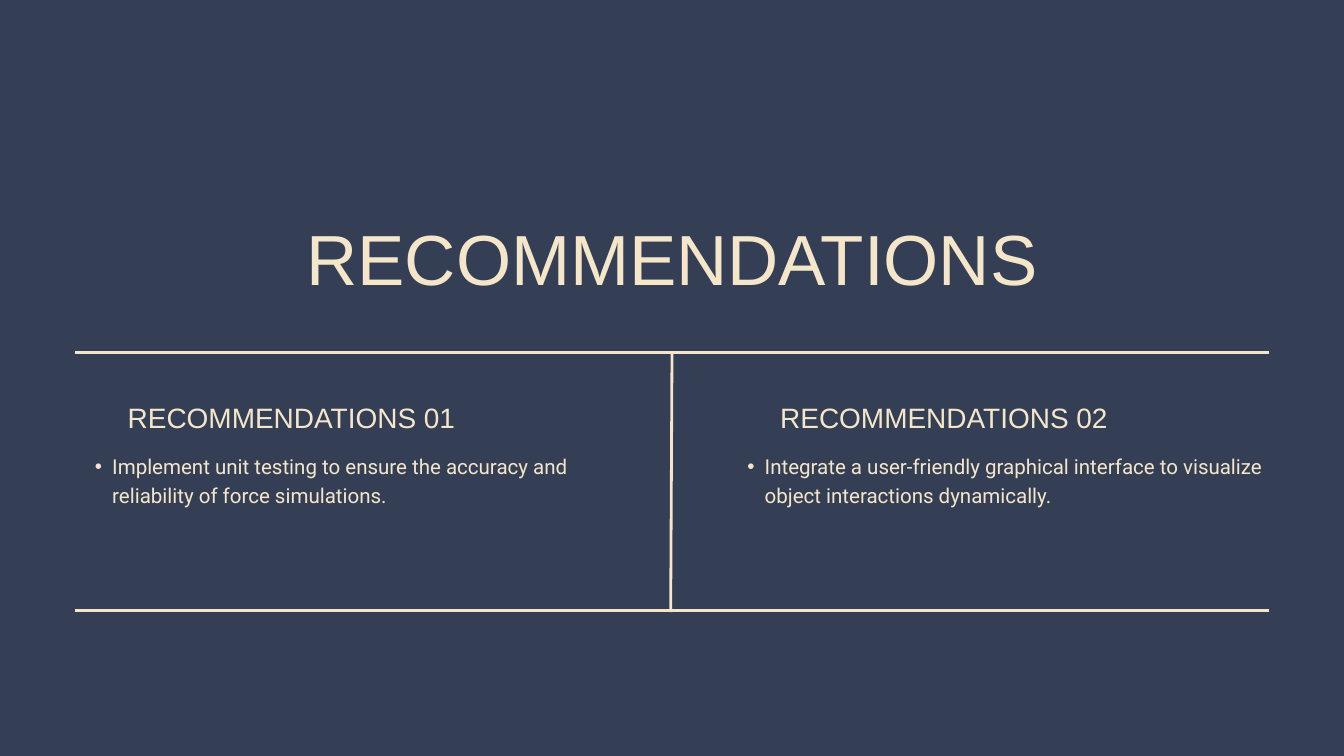
from dataclasses import dataclass

from lxml.etree import SubElement
from pptx import Presentation
from pptx.dml.color import RGBColor
from pptx.enum.shapes import MSO_CONNECTOR
from pptx.enum.text import MSO_ANCHOR, MSO_AUTO_SIZE, PP_ALIGN
from pptx.oxml.ns import qn
from pptx.util import Pt


@dataclass(frozen=True)
class Theme:
    background: RGBColor = RGBColor(0x34, 0x3F, 0x56)
    cream: RGBColor = RGBColor(0xF5, 0xE6, 0xCA)
    display_font: str = "Arial"
    body_font: str = "Roboto"
    title_size: int = 76
    heading_size: int = 30
    body_size: int = 22
    leading: float = 1.4
    rule_width: int = 3
    bullet_indent: float = 18.72


class SlideBuilder:
    def __init__(self, slide, theme):
        self.slide = slide
        self.theme = theme

    def background(self):
        fill = self.slide.background.fill
        fill.solid()
        fill.fore_color.rgb = self.theme.background

    def text(self, index, box, wording, size, font, align=PP_ALIGN.LEFT):
        """Place and fill the placeholder with this index; return its paragraph."""
        holder = self.slide.placeholders[index]
        holder.left, holder.top, holder.width, holder.height = map(Pt, box)
        frame = holder.text_frame
        frame.margin_left = frame.margin_right = 0
        frame.margin_top = frame.margin_bottom = 0
        frame.vertical_anchor = MSO_ANCHOR.TOP
        frame.auto_size = MSO_AUTO_SIZE.NONE
        frame.word_wrap = True
        paragraph = frame.paragraphs[0]
        paragraph.alignment = align
        paragraph.space_before = Pt(0)
        paragraph.line_spacing = Pt(size * self.theme.leading)
        run = paragraph.add_run()
        run.text = wording
        run.font.name = font
        run.font.size = Pt(size)
        run.font.bold = False
        run.font.color.rgb = self.theme.cream
        return paragraph

    def title(self, box, wording):
        self.text(0, box, wording, self.theme.title_size,
                  self.theme.display_font, PP_ALIGN.CENTER)

    def heading(self, index, box, wording):
        self.text(index, box, wording, self.theme.heading_size,
                  self.theme.display_font)

    def bullet(self, index, box, wording):
        paragraph = self.text(index, box, wording, self.theme.body_size,
                              self.theme.body_font)
        indent = Pt(self.theme.bullet_indent)
        properties = paragraph._p.get_or_add_pPr()
        properties.set("marL", str(2 * indent))
        properties.set("indent", str(-indent))
        SubElement(properties, qn("a:buFont"), typeface="Arial")
        SubElement(properties, qn("a:buChar"), char="•")

    def rule(self, start, end):
        line = self.slide.shapes.add_connector(
            MSO_CONNECTOR.STRAIGHT, *map(Pt, start + end))
        line.line.color.rgb = self.theme.cream
        line.line.width = Pt(self.theme.rule_width)
        SubElement(line._element.spPr, qn("a:effectLst"))


RECOMMENDATIONS = [
    ("RECOMMENDATIONS 01",
     "Implement unit testing to ensure the accuracy and reliability of force simulations."),
    ("RECOMMENDATIONS 02",
     "Integrate a user-friendly graphical interface to visualize object interactions dynamically."),
]
COMPARISON_LAYOUT = 4
COLUMN_PITCH = 699.1
RULE_LEFT, RULE_RIGHT = 80.64, 1359.36
RULE_TOP, RULE_BOTTOM = 377.3, 654.5


def main():
    deck = Presentation()
    deck.slide_width, deck.slide_height = Pt(1440), Pt(810)
    slide = deck.slides.add_slide(deck.slide_layouts[COMPARISON_LAYOUT])
    builder = SlideBuilder(slide, Theme())

    builder.background()
    builder.title((171.4, 214.6, 1097.3, 102.2), "RECOMMENDATIONS")
    builder.rule((718.6, RULE_BOTTOM + 1.4), (720, RULE_TOP + 1.4))
    for y in (RULE_TOP, RULE_BOTTOM):
        builder.rule((RULE_LEFT, y), (RULE_RIGHT, y))

    for column, (heading, advice) in enumerate(RECOMMENDATIONS):
        offset = column * COLUMN_PITCH
        heading_index = 1 + 2 * column
        builder.heading(heading_index, (136.8 + offset, 423.4, 460, 41), heading)
        builder.bullet(heading_index + 1, (82.8 + offset, 482.4, 574.6, 122.4), advice)

    deck.save("out.pptx")


if __name__ == "__main__":
    main()
